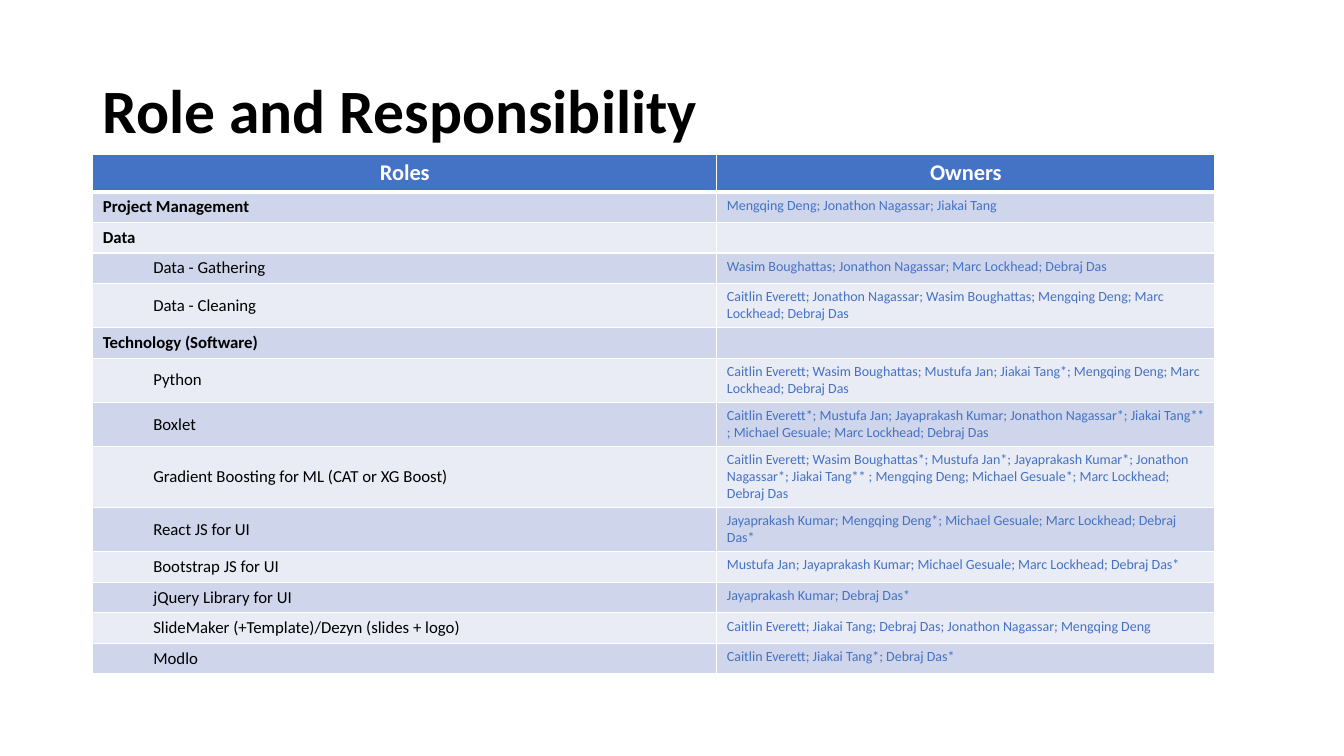
"""Build the Role and Responsibility slide."""
import pptx
import pptx.dml.color
import pptx.enum.text
import pptx.oxml.ns
import pptx.util
from lxml import etree

TITLE = "Role and Responsibility"
HEADS = ["Roles", "Owners"]
ROWS = [
    (0, "Project Management", "Mengqing Deng; Jonathon Nagassar; Jiakai Tang"),
    (0, "Data", ""),
    (1, "Data - Gathering",
     "Wasim Boughattas; Jonathon Nagassar; Marc Lockhead; Debraj Das"),
    (1, "Data - Cleaning",
     "Caitlin Everett; Jonathon Nagassar; Wasim Boughattas; "
     "Mengqing Deng; Marc Lockhead; Debraj Das"),
    (0, "Technology (Software)", ""),
    (1, "Python",
     "Caitlin Everett; Wasim Boughattas; Mustufa Jan; Jiakai Tang*; "
     "Mengqing Deng; Marc Lockhead; Debraj Das"),
    (1, "Boxlet",
     "Caitlin Everett*; Mustufa Jan; Jayaprakash Kumar; Jonathon Nagassar*; "
     "Jiakai Tang** ; Michael Gesuale; Marc Lockhead; Debraj Das"),
    (1, "Gradient Boosting for ML (CAT or XG Boost)",
     "Caitlin Everett; Wasim Boughattas*; Mustufa Jan*; Jayaprakash Kumar*; "
     "Jonathon Nagassar*; Jiakai Tang** ; Mengqing Deng; Michael Gesuale*; "
     "Marc Lockhead; Debraj Das"),
    (1, "React JS for UI",
     "Jayaprakash Kumar; Mengqing Deng*; Michael Gesuale; Marc Lockhead; "
     "Debraj Das*"),
    (1, "Bootstrap JS for UI",
     "Mustufa Jan; Jayaprakash Kumar; Michael Gesuale; Marc Lockhead; "
     "Debraj Das*"),
    (1, "jQuery Library for UI", "Jayaprakash Kumar; Debraj Das*"),
    (1, "SlideMaker (+Template)/Dezyn (slides + logo)",
     "Caitlin Everett; Jiakai Tang; Debraj Das; Jonathon Nagassar; "
     "Mengqing Deng"),
    (1, "Modlo", "Caitlin Everett; Jiakai Tang*; Debraj Das*"),
]
BLUE, BLACK, WHITE = "4472C4", "000000", "FFFFFF"
BANDS = ["CFD5EA", "E9EBF5"]
FONT = "Calibri"
LEFT, TOP = 0.92, 1.53
COLS = [6.19, 4.94]
HEAD, ROW = 0.36, 0.3

inch = pptx.util.Inches
qn = pptx.oxml.ns.qn
ALIGN = pptx.enum.text.PP_ALIGN
MID = pptx.enum.text.MSO_ANCHOR.MIDDLE


def tint(hue):
    return pptx.dml.color.RGBColor.from_string(hue)


def write(par, text, size, hue, bold=False):
    if not text:
        etree.SubElement(par._p, qn("a:endParaRPr"), sz=str(size * 100))
        return
    run = par.add_run()
    run.text = text
    run.font.name = FONT
    run.font.size = pptx.util.Pt(size)
    run.font.bold = bold
    run.font.color.rgb = tint(hue)


def paint(cell, hue, top=1, base=1):
    props = cell._tc.get_or_add_tcPr()
    for side, wide in zip("LRTB", (1, 1, top, base)):
        line = etree.SubElement(props, qn("a:ln" + side), w=str(wide * 12700))
        fill = etree.SubElement(line, qn("a:solidFill"))
        etree.SubElement(fill, qn("a:srgbClr"), val=WHITE)
    cell.fill.solid()
    cell.fill.fore_color.rgb = tint(hue)


deck = pptx.Presentation()
deck.slide_width, deck.slide_height = inch(13.33), inch(7.5)
slide = deck.slides.add_slide(deck.slide_layouts[5])

title = slide.shapes.title
title.left, title.top = inch(LEFT), inch(0.4)
title.width, title.height = inch(11.5), inch(1.45)
frame = title.text_frame
frame.auto_size = pptx.enum.text.MSO_AUTO_SIZE.NONE
frame.vertical_anchor = MID
par = frame.paragraphs[0]
par.alignment, par.line_spacing = ALIGN.LEFT, 0.9
write(par, TITLE, 44, BLACK, True)

high = HEAD + ROW * len(ROWS)
table = slide.shapes.add_table(
    len(ROWS) + 1, len(COLS), inch(LEFT), inch(TOP),
    inch(sum(COLS)), inch(high)).table
for col, wide in zip(table.columns, COLS):
    col.width = inch(wide)
for row in table.rows:
    row.height = inch(ROW)
table.rows[0].height = inch(HEAD)

for col, head in enumerate(HEADS):
    cell = table.cell(0, col)
    paint(cell, BLUE, base=3)
    par = cell.text_frame.paragraphs[0]
    par.alignment = ALIGN.CENTER
    write(par, head, 16, WHITE, True)

for num, (level, role, names) in enumerate(ROWS, 1):
    left, right = table.cell(num, 0), table.cell(num, 1)
    for cell in (left, right):
        paint(cell, BANDS[(num - 1) % 2], top=3 if num == 1 else 1)
    left.vertical_anchor = MID
    par = left.text_frame.paragraphs[0]
    par.level = level
    par._p.get_or_add_pPr().set("marL", str(inch(0.5 * level)))
    write(par, role, 12, BLACK, level == 0)
    write(right.text_frame.paragraphs[0], names, 10, BLUE)

deck.save("out.pptx")
